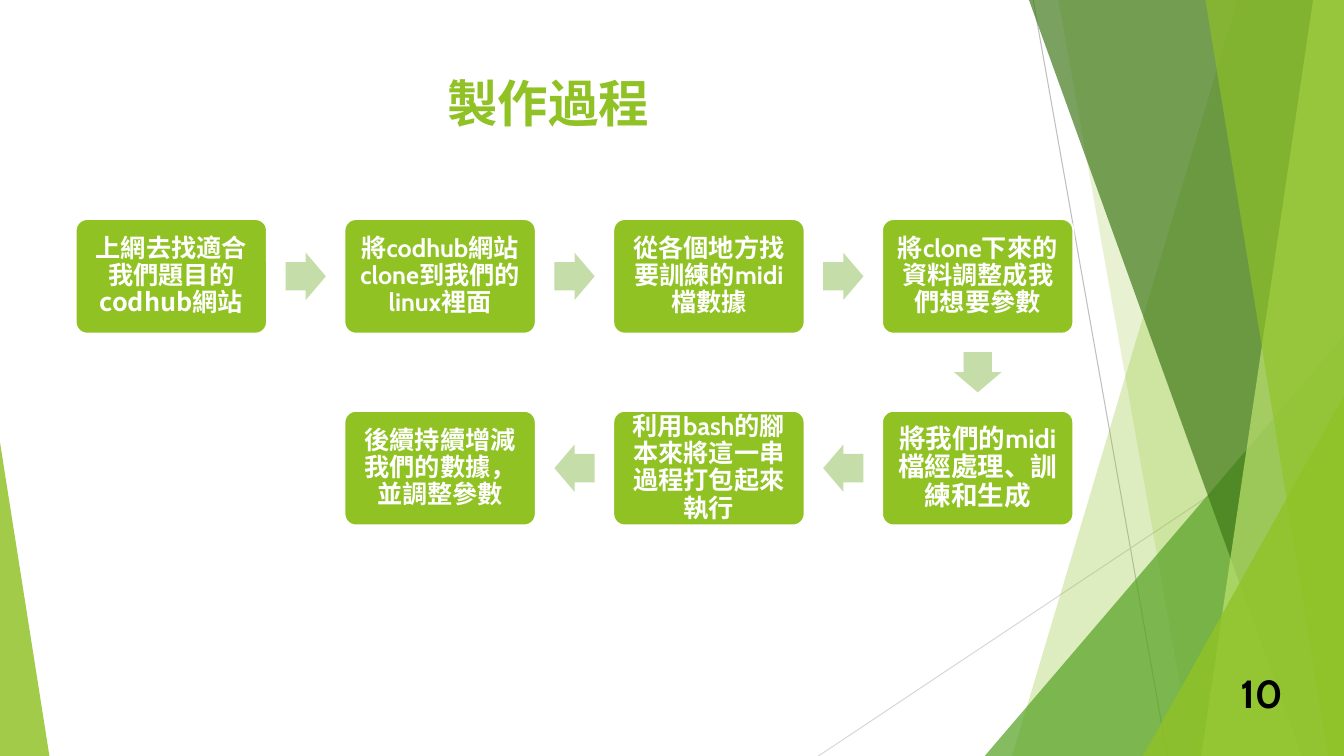
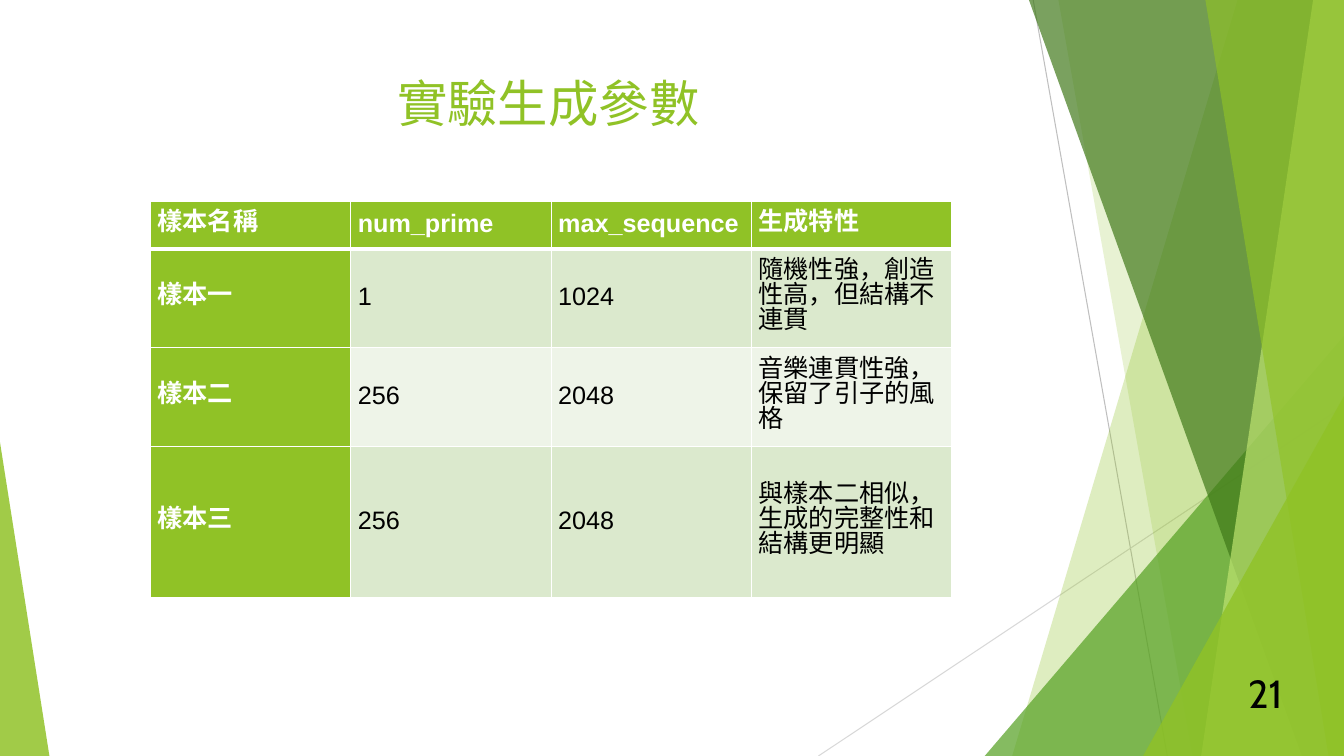
from itertools import pairwise

from pptx import Presentation
from pptx.dml.color import RGBColor
from pptx.enum.shapes import MSO_CONNECTOR, MSO_SHAPE
from pptx.enum.text import MSO_ANCHOR, PP_ALIGN
from pptx.oxml.ns import qn
from pptx.util import Pt
from lxml import etree

WIDTH, HEIGHT = 960, 540
LIME = RGBColor(0x90, 0xC2, 0x26)
BOX_GREEN = RGBColor(0x90, 0xC2, 0x23)
MID_GREEN = RGBColor(0x54, 0xA0, 0x21)
DARK_GREEN = RGBColor(0x3F, 0x78, 0x18)
PALE_LIME = RGBColor(0xBF, 0xE4, 0x71)
ARROW_GREEN = RGBColor(0xC5, 0xDD, 0xA8)
ROW_TINTS = [RGBColor(0xDB, 0xE9, 0xCD), RGBColor(0xEE, 0xF4, 0xE8)]
GREY = RGBColor(0xBF, 0xBF, 0xBF)
LIGHT_GREY = RGBColor(0xD8, 0xD8, 0xD8)
WHITE = RGBColor(0xFF, 0xFF, 0xFF)
BLACK = RGBColor(0, 0, 0)
CABIN, ARIAL, NOTO = "Cabin", "Arial", "Noto Sans CJK TC"

# Content: grid column, grid row, text, then any font values that differ
STEPS = [
    (0, 0, "上網去找適合我們題目的codhub網站", {"name": NOTO}),
    (1, 0, "將codhub網站clone到我們的linux裡面", {}),
    (2, 0, "從各個地方找要訓練的midi檔數據", {}),
    (3, 0, "將clone下來的資料調整成我們想要參數", {}),
    (3, 1, "將我們的midi檔經處理、訓練和生成", {"size": Pt(19)}),
    (2, 1, "利用bash的腳本來將這一串過程打包起來執行", {}),
    (1, 1, "後續持續增減我們的數據，並調整參數", {}),
]
SAMPLES = [
    ("樣本名稱", "num_prime", "max_sequence", "生成特性"),
    ("樣本一", "1", "1024", "隨機性強，創造性高，但結構不連貫"),
    ("樣本二", "256", "2048", "音樂連貫性強，保留了引子的風格"),
    ("樣本三", "256", "2048", "與樣本二相似，生成的完整性和結構更明顯"),
]
ROW_HEIGHTS = [33.8, 70.6, 70.6, 108]

# Shared decoration; bands run from (top x) to (bottom x) and fill to the right edge
RAYS = [((738, 0), (833.8, HEIGHT), GREY), ((WIDTH, 290), (584.6, HEIGHT), LIGHT_GREY)]
FACETS = [
    ("band", (884.2, 722.9), LIME, 29),
    ("band", (756, 851.8), LIME, 20),
    ("triangle", (703.4, 240, 256.6, 300, 1), MID_GREEN, 71),
    ("band", (735.1, 929.5), DARK_GREEN, 69),
    ("band", (938.2, 858.2), PALE_LIME, 69),
    ("band", (861.1, 949), LIME, 64),
    ("triangle", (816.5, 283, 143.5, 257, 1), LIME, 80),
    ("triangle", (0, 316, 35.3, 224, 0), LIME, 84),
]


def paint(shape, color, alpha=None):
    shape.shadow.inherit = False
    shape.line.fill.background()
    shape.fill.solid()
    shape.fill.fore_color.rgb = color
    if alpha is not None:
        color_element = shape.fill._xPr.find(".//" + qn("a:srgbClr"))
        etree.SubElement(color_element, qn("a:alpha"), val=str(alpha * 1000))


def write(frame, text, align, color, spacing=None, **font_values):
    paragraph = frame.paragraphs[0]
    paragraph.alignment = align
    if spacing is not None:
        paragraph.line_spacing = spacing
    run = paragraph.add_run()
    run.text = text
    for name, value in font_values.items():
        setattr(run.font, name, value)
    run.font.color.rgb = color
    properties = run._r.get_or_add_rPr()
    east_asian = etree.Element(qn("a:ea"), typeface=NOTO)
    properties.find(qn("a:latin")).addnext(east_asian)


def set_margins(target, horizontal, vertical):
    for side, value in {"left": horizontal, "right": horizontal,
                        "top": vertical, "bottom": vertical}.items():
        setattr(target, f"margin_{side}", Pt(value))


def add_text(slide, place, text, align, color, anchor, **font_values):
    frame = slide.shapes.add_textbox(*map(Pt, place)).text_frame
    frame.word_wrap = True
    frame.vertical_anchor = anchor
    set_margins(frame, 7.2, 3.6)
    write(frame, text, align, color, name=CABIN, **font_values)


def add_decoration(slide):
    for start, end, color in RAYS:
        ray = slide.shapes.add_connector(MSO_CONNECTOR.STRAIGHT, *map(Pt, start + end))
        ray.line.color.rgb = color
        ray.line.width = Pt(0.75)
        etree.SubElement(ray._element.spPr, qn("a:effectLst"))
    for kind, geometry, color, alpha in FACETS:
        if kind == "band":
            top_x, bottom_x = geometry
            builder = slide.shapes.build_freeform(top_x, 0, scale=Pt(1))
            builder.add_line_segments([(WIDTH, 0), (WIDTH, HEIGHT), (bottom_x, HEIGHT)])
            facet = builder.convert_to_shape()
        else:
            *place, apex = geometry
            facet = slide.shapes.add_shape(MSO_SHAPE.ISOSCELES_TRIANGLE, *map(Pt, place))
            facet.adjustments[0] = apex
        paint(facet, color, alpha)


def new_slide(presentation, title, number, bold):
    slide = presentation.slides.add_slide(presentation.slide_layouts[6])
    add_decoration(slide)
    add_text(slide, (53.3, 48.2, 676.8, 103.7), title, PP_ALIGN.CENTER, LIME,
             MSO_ANCHOR.TOP, size=Pt(36), bold=bold)
    add_text(slide, (815.8, 460, 107.3, 70), number, PP_ALIGN.RIGHT, BLACK,
             MSO_ANCHOR.MIDDLE, size=Pt(28), bold=bold)
    return slide


def add_flow(slide):
    left, top, pitch_x, pitch_y = 54, 156.4, 192, 137
    box_width, box_height = 136.8, 82
    arrow_width, arrow_height = 28.8, 33.8

    # Step boxes
    centers = []
    for column, row, text, changes in STEPS:
        x, y = left + column * pitch_x, top + row * pitch_y
        centers.append((x + box_width / 2, y + box_height / 2))
        box = slide.shapes.add_shape(MSO_SHAPE.ROUNDED_RECTANGLE,
                                     *map(Pt, (x, y, box_width, box_height)))
        box.adjustments[0] = 0.1
        paint(box, BOX_GREEN)
        box.line.color.rgb = WHITE
        box.line.width = Pt(1.5)
        frame = box.text_frame
        frame.word_wrap = True
        frame.vertical_anchor = MSO_ANCHOR.MIDDLE
        set_margins(frame, 4, 4)
        font_values = {"name": CABIN, "size": Pt(18), "bold": True} | changes
        write(frame, text, PP_ALIGN.CENTER, WHITE, 0.9, **font_values)

    # Arrows halfway between neighbouring steps
    for (x1, y1), (x2, y2) in pairwise(centers):
        place = ((x1 + x2 - arrow_width) / 2, (y1 + y2 - arrow_height) / 2,
                 arrow_width, arrow_height)
        arrow = slide.shapes.add_shape(MSO_SHAPE.RIGHT_ARROW, *map(Pt, place))
        arrow.adjustments[0] = 0.6
        arrow.adjustments[1] = 0.5
        arrow.rotation = 90 if y2 > y1 else 180 if x2 < x1 else 0
        paint(arrow, ARROW_GREEN)


def add_borders(cell, widths):
    properties = cell._tc.get_or_add_tcPr()
    for side, width in zip("LRTB", widths):
        line = etree.SubElement(properties, qn(f"a:ln{side}"), w=str(Pt(width)))
        fill = etree.SubElement(line, qn("a:solidFill"))
        etree.SubElement(fill, qn("a:srgbClr"), val=str(WHITE))


def add_sample_table(slide):
    column_width = 143.1
    columns = len(SAMPLES[0])
    place = (107.5, 144, column_width * columns, sum(ROW_HEIGHTS))
    table = slide.shapes.add_table(len(SAMPLES), columns, *map(Pt, place)).table
    for column in table.columns:
        column.width = Pt(column_width)
    for r, (height, texts) in enumerate(zip(ROW_HEIGHTS, SAMPLES)):
        table.rows[r].height = Pt(height)
        for c, text in enumerate(texts):
            cell = table.cell(r, c)
            heading = r == 0 or c == 0
            add_borders(cell, (1, 1, 3 if r == 1 else 1, 3 if r == 0 else 1))
            cell.fill.solid()
            cell.fill.fore_color.rgb = LIME if heading else ROW_TINTS[(r - 1) % 2]
            cell.vertical_anchor = MSO_ANCHOR.MIDDLE
            set_margins(cell, 5, 0)
            write(cell.text_frame, text, PP_ALIGN.LEFT, WHITE if heading else BLACK,
                  Pt(18), name=ARIAL, size=Pt(18), bold=heading)


def main():
    presentation = Presentation()
    presentation.slide_width, presentation.slide_height = Pt(WIDTH), Pt(HEIGHT)
    add_flow(new_slide(presentation, "製作過程", "10", True))
    add_sample_table(new_slide(presentation, "實驗生成參數", "21", False))
    presentation.save("out.pptx")


if __name__ == "__main__":
    main()
